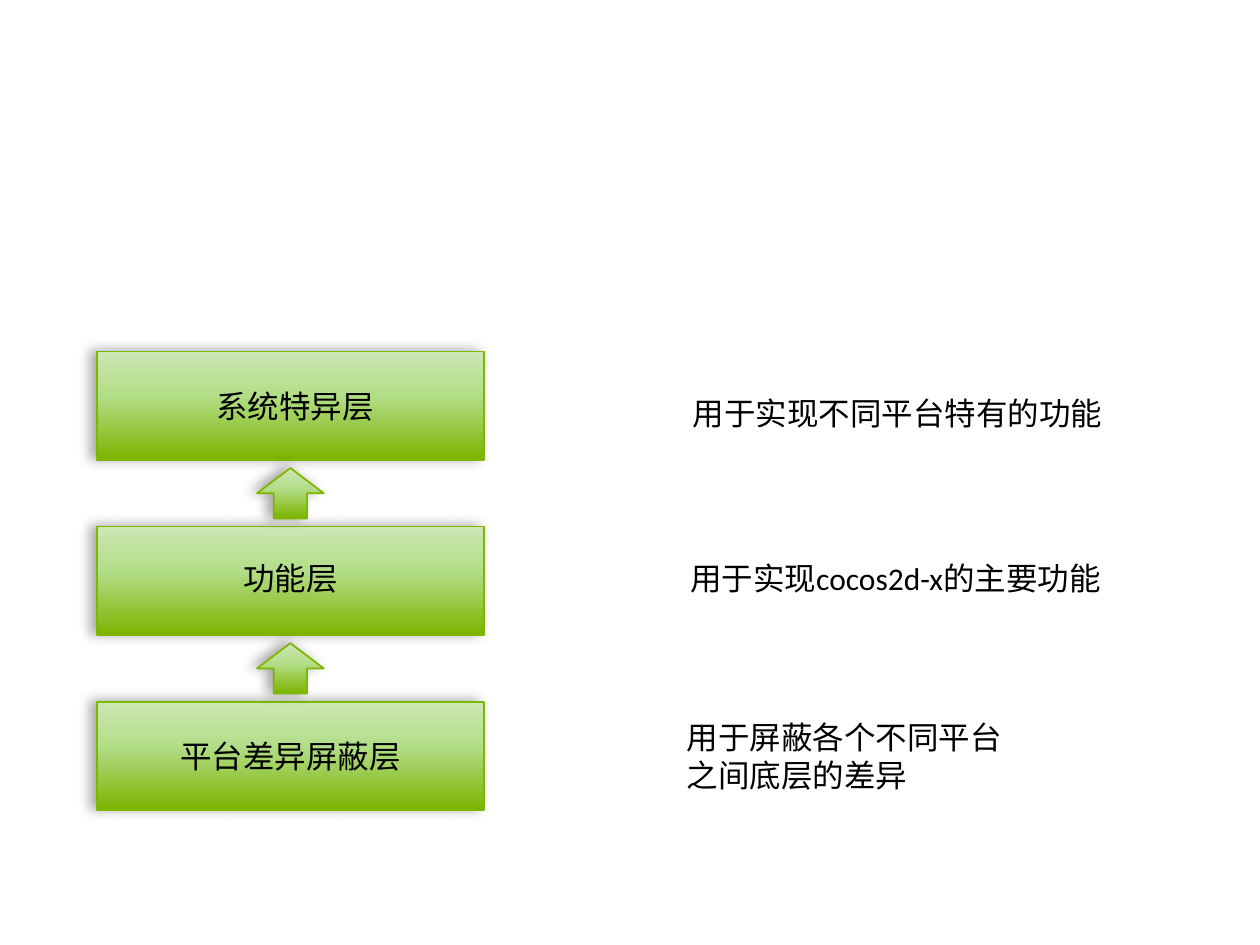
from copy import deepcopy
from lxml.etree import SubElement
from pptx import Presentation
from pptx.dml.color import RGBColor
from pptx.enum.shapes import MSO_SHAPE
from pptx.enum.text import MSO_AUTO_SIZE, PP_ALIGN
from pptx.oxml.ns import qn
from pptx.util import Inches, Pt

WIDE, HIGH = 10, 7.5
LEFT, TOP, PITCH = 0.77, 2.79, 1.39
BOX_W, BOX_H = 3.07, 0.86
ARROW_W, ARROW_H = 0.53, 0.4
STOPS = [(0, "CCE7B4"), (0.4, "B3DE89"), (1, "7CB400")]
EDGE = "7FB602"
LAYERS = [
    ("系统特异层", (1.32, 3.02, 2.04, 0.4),
     "用于实现不同平台特有的功能", (5.4, 3.08, 3.48, 0.4)),
    ("功能层", (1.2, 4.39, 2.21, 0.4),
     "用于实现cocos2d-x的主要功能", (5.38, 4.39, 3.54, 0.4)),
    ("平台差异屏蔽层", (1.2, 5.8, 2.21, 0.4),
     "用于屏蔽各个不同平台之间底层的差异", (5.35, 5.65, 2.88, 0.71)),
]


def color(code):
    return RGBColor.from_string(code)


def add_glow(shape):
    shape.shadow.inherit = False
    list_ = shape._element.spPr.find(qn("a:effectLst"))
    shade = SubElement(list_, qn("a:outerShdw"), blurRad=str(Pt(7)),
                       dist=str(Pt(4)), dir=str(190 * 60000),
                       algn="ctr", rotWithShape="0")
    tone = SubElement(shade, qn("a:srgbClr"), val="000000")
    SubElement(tone, qn("a:alpha"), val="35000")


def add_block(slide, kind, *place):
    shape = slide.shapes.add_shape(kind, *map(Inches, place))
    shape.fill.gradient()
    first = shape._element.spPr.find(".//" + qn("a:gs"))
    first.addnext(deepcopy(first))
    for stop, (spot, code) in zip(shape.fill.gradient_stops, STOPS):
        stop.position = spot
        stop.color.rgb = color(code)
    shape.fill.gradient_angle = 270
    shape.line.color.rgb = color(EDGE)
    shape.line.width = Pt(1)
    add_glow(shape)


def add_text(slide, text, place, size=18, font="Calibri", code="000000",
             align=PP_ALIGN.LEFT):
    frame = slide.shapes.add_textbox(*map(Inches, place)).text_frame
    frame.word_wrap = True
    frame.auto_size = MSO_AUTO_SIZE.SHAPE_TO_FIT_TEXT
    para = frame.paragraphs[0]
    para.alignment = align
    run = para.add_run()
    run.text = text
    run.font.size = Pt(size)
    run.font.name = font
    run.font.color.rgb = color(code)


def main():
    deck = Presentation()
    deck.slide_width, deck.slide_height = Inches(WIDE), Inches(HIGH)
    slide = deck.slides.add_slide(deck.slide_layouts[6])
    for row, (name, spot, note, place) in enumerate(LAYERS):
        top = TOP + row * PITCH
        add_block(slide, MSO_SHAPE.RECTANGLE, LEFT, top, BOX_W, BOX_H)
        add_text(slide, name, spot, align=PP_ALIGN.CENTER)
        add_text(slide, note, place)
        if row:
            add_block(slide, MSO_SHAPE.UP_ARROW,
                      LEFT + (BOX_W - ARROW_W) / 2,
                      top - (PITCH - BOX_H + ARROW_H) / 2,
                      ARROW_W, ARROW_H)
    deck.save("out.pptx")


if __name__ == "__main__":
    main()
